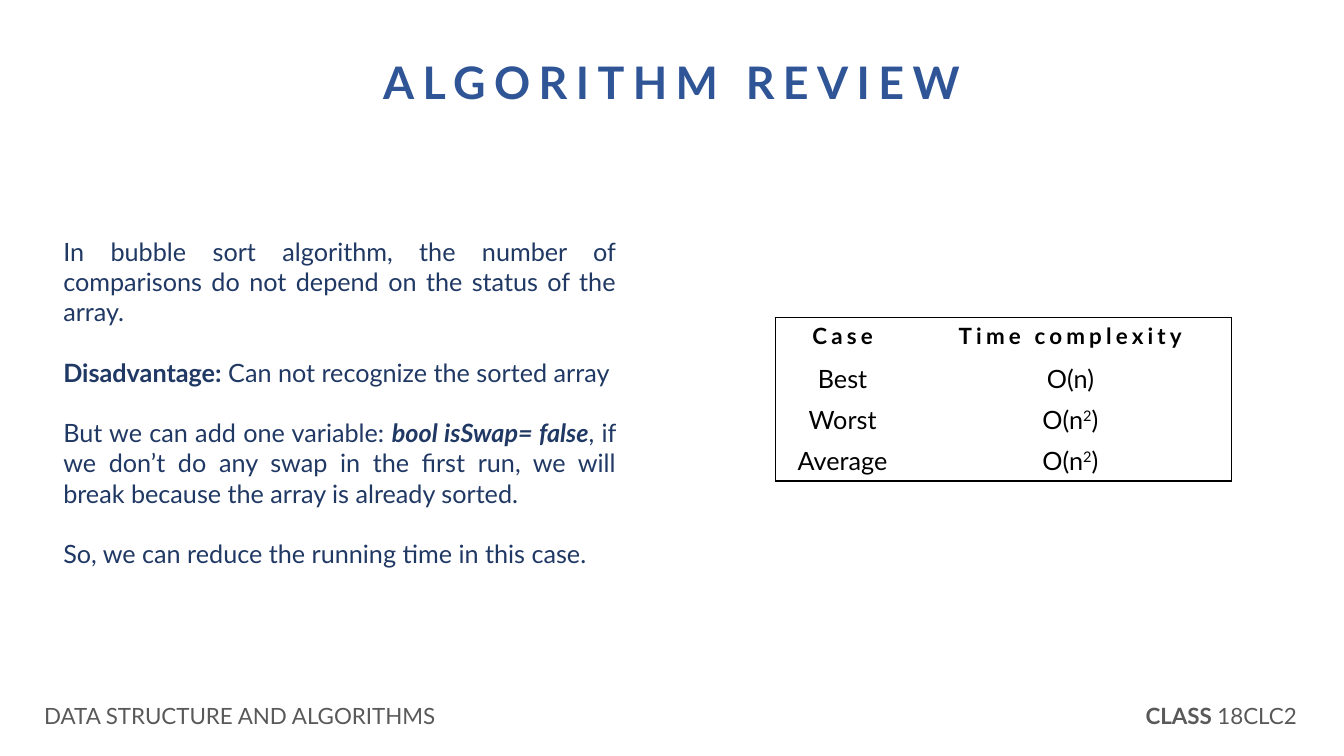
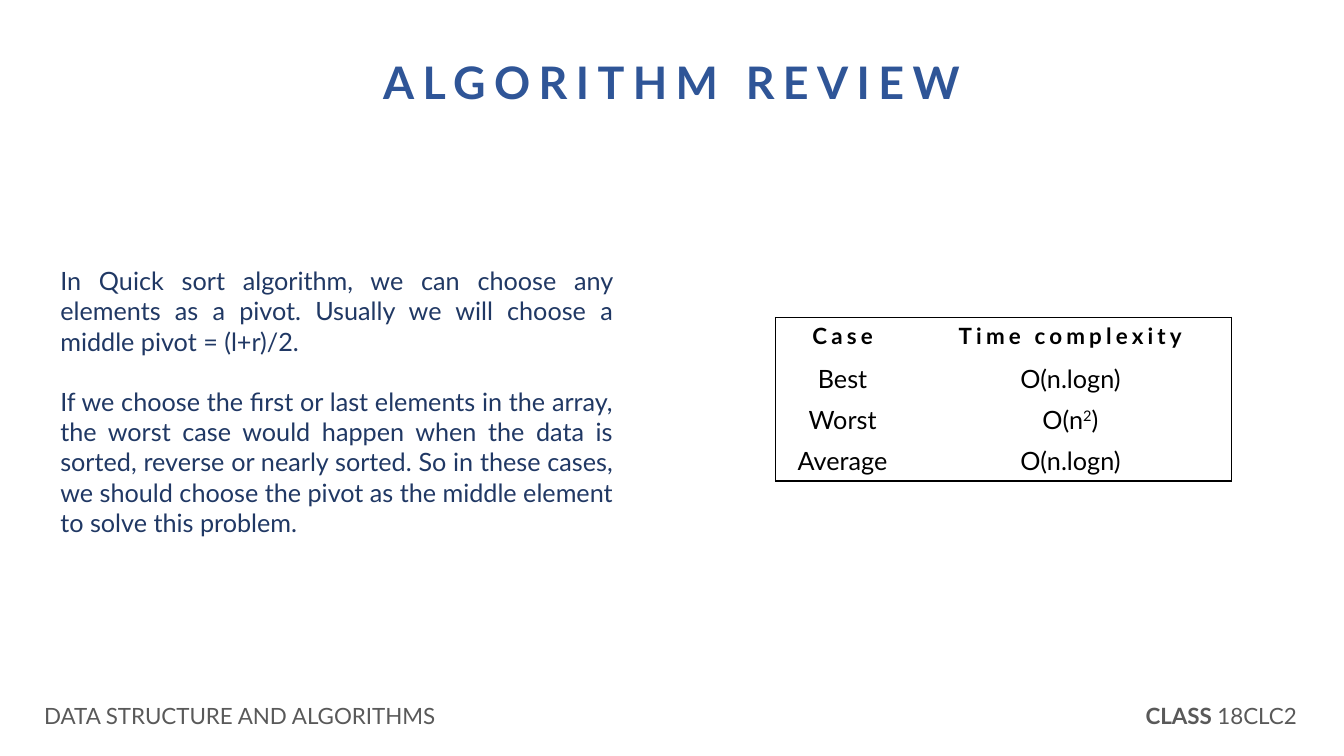
from dataclasses import dataclass
from lxml.etree import SubElement
from pptx import Presentation
from pptx.dml.color import RGBColor
from pptx.enum.text import MSO_ANCHOR as Anchor, MSO_AUTO_SIZE as AutoSize, PP_ALIGN as Align
from pptx.oxml.ns import qn
from pptx.util import Pt


@dataclass(frozen=True)
class Theme:
    font: str = "Lato"
    title_color: str = "2F5597"
    body_color: str = "203864"
    footer_color: str = "595959"
    table_color: str = "000000"
    title_size: float = 32
    body_size: float = 18
    small_size: float = 16
    line_height: float = 21.6
    title_tracking: float = 6
    header_tracking: float = 3


theme = Theme()

# Each run is (text, style): b bold, i italic, s superscript
squared = [("O(n", ""), ("2", "s"), (")", "")]
linear = [("O(n)", "")]
log_linear = [("O(n.logn)", "")]
footers = [
    (0, 342.7, [("DATA STRUCTURE AND ALGORITHMS", "")]),
    (784.8, 175, [("CLASS ", "b"), ("18CLC2", "")]),
]
reviews = [
    {
        "body_at": (38.1, 165, 409, 269),
        "body": [
            [("In bubble sort algorithm, the number of comparisons do not depend "
              "on the status of the array.", "")],
            [("Disadvantage:", "b"), (" Can not recognize the sorted array", "")],
            [("But we can add one variable: ", ""), ("bool isSwap= false", "bi"),
             (", if we don’t do any swap in the first run, we will break because "
              "the array is already sorted.", "")],
            [("So, we can reduce the running time in this case.", "")],
        ],
        "complexity": [linear, squared, squared],
    },
    {
        "body_at": (36, 186, 409, 247),
        "body": [
            [("In Quick sort algorithm, we can choose any elements as a pivot. "
              "Usually we will choose a middle pivot = (l+r)/2.", "")],
            [("If we choose the first or last elements in the array, the worst case "
              "would happen when the data is sorted, reverse or nearly sorted. So in "
              "these cases, we should choose the pivot as the middle element to solve "
              "this problem.", "")],
        ],
        "complexity": [log_linear, squared, log_linear],
    },
]


def write_runs(para, runs, size, color, align=Align.CENTER, tracking=0):
    """Fill a paragraph with styled runs."""
    para.alignment = align
    for text, style in runs:
        span = para.add_run()
        span.text = text
        font = span.font
        font.name, font.size = theme.font, Pt(size)
        font.color.rgb = RGBColor.from_string(color)
        font.bold, font.italic = "b" in style, "i" in style
        properties = span._r.get_or_add_rPr()
        if tracking:
            properties.set("spc", str(tracking * 100))
        if "s" in style:
            properties.set("baseline", "30000")


def place_text(box, left, top, width, height):
    """Position a text shape and return its top-anchored frame."""
    box.left, box.top, box.width, box.height = Pt(left), Pt(top), Pt(width), Pt(height)
    frame = box.text_frame
    frame.word_wrap = True
    frame.auto_size = AutoSize.NONE
    frame.vertical_anchor = Anchor.TOP
    return frame


deck = Presentation()
deck.slide_width, deck.slide_height = Pt(960), Pt(540)

for review in reviews:
    page = deck.slides.add_slide(deck.slide_layouts[5])

    # Title
    frame = place_text(page.shapes.title, 231.8, 35.3, 496, 46)
    write_runs(frame.paragraphs[0], [("ALGORITHM REVIEW", "b")], theme.title_size,
               theme.title_color, tracking=theme.title_tracking)

    # Footers
    for left, width, runs in footers:
        box = page.shapes.add_textbox(0, 0, 0, 0)
        frame = place_text(box, left, 498.2, width, 26.6)
        write_runs(frame.paragraphs[0], runs, theme.small_size, theme.footer_color)

    # Explanation, one line of space between paragraphs
    box = page.shapes.add_textbox(0, 0, 0, 0)
    frame = place_text(box, *review["body_at"])
    for index, runs in enumerate(review["body"]):
        para = frame.add_paragraph() if index else frame.paragraphs[0]
        para.space_before = Pt(theme.line_height if index else 0)
        write_runs(para, runs, theme.body_size, theme.body_color, Align.JUSTIFY)

    # Complexity table
    rows = [[[("Case", "b")], [("Time complexity", "b")]]]
    for case, complexity in zip(("Best", "Worst", "Average"), review["complexity"]):
        rows.append([[(case, "")], complexity])
    table = page.shapes.add_table(len(rows), 2, Pt(553.9), Pt(226.8), Pt(325.6), Pt(116.8)).table
    table.first_row = table.horz_banding = False
    for column, width in zip(table.columns, (95.9, 229.7)):
        column.width = Pt(width)
    for row_index, row in enumerate(rows):
        table.rows[row_index].height = Pt(29.2)
        for column_index, runs in enumerate(row):
            cell = table.cell(row_index, column_index)
            header = row_index == 0
            write_runs(cell.text_frame.paragraphs[0], runs,
                       theme.small_size if header else theme.body_size, theme.table_color,
                       tracking=theme.header_tracking if header else 0)
            # Only the outer edges carry a line
            outer_edges = {
                "a:lnL": column_index == 0,
                "a:lnR": column_index == len(row) - 1,
                "a:lnT": header,
                "a:lnB": row_index == len(rows) - 1,
            }
            cell_properties = cell._tc.get_or_add_tcPr()
            for tag, visible in outer_edges.items():
                edge = SubElement(cell_properties, qn(tag), w=str(Pt(1)))
                if visible:
                    fill = SubElement(edge, qn("a:solidFill"))
                    SubElement(fill, qn("a:srgbClr"), val=theme.table_color)
                else:
                    SubElement(edge, qn("a:noFill"))
            cell.fill.background()

deck.save("out.pptx")
